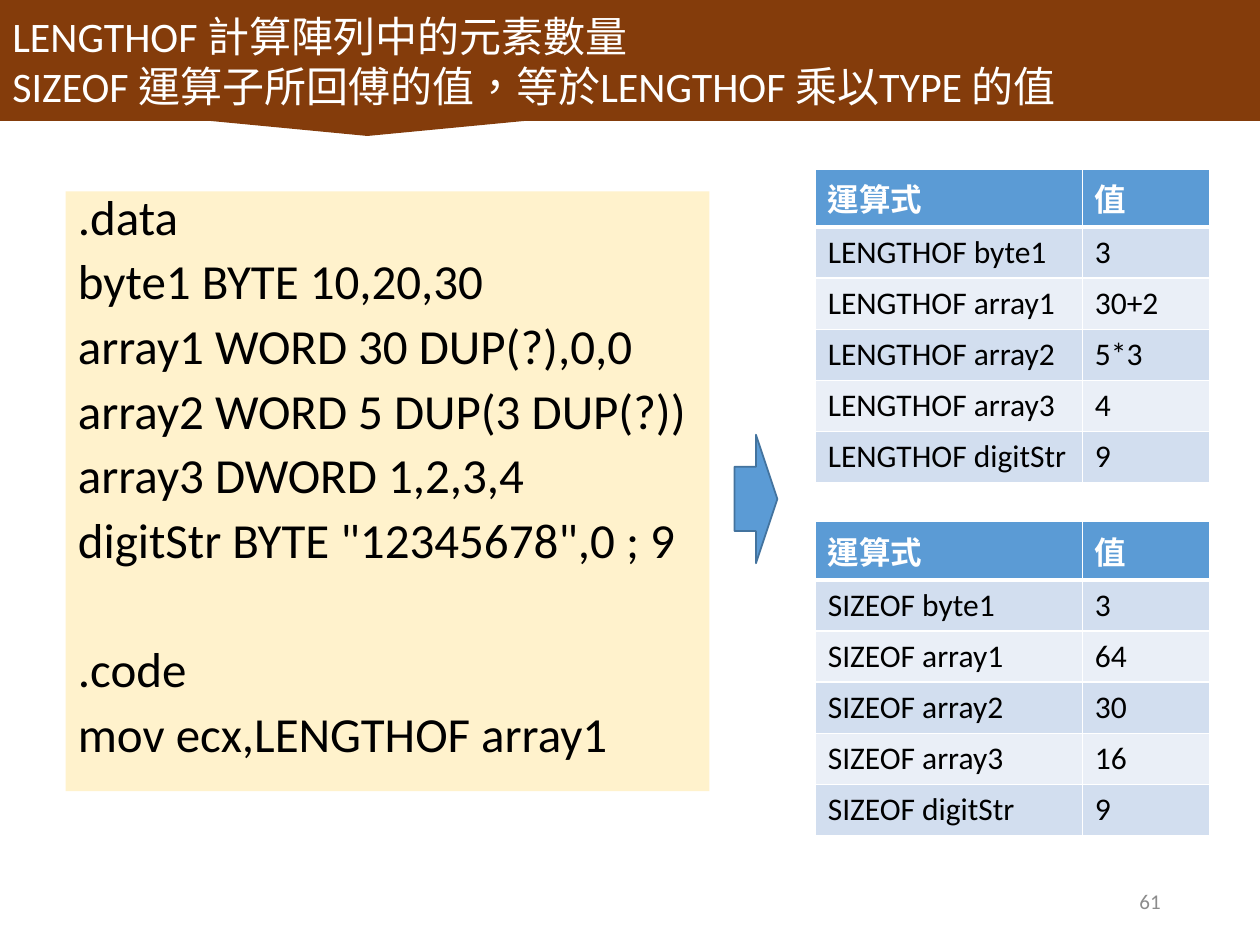
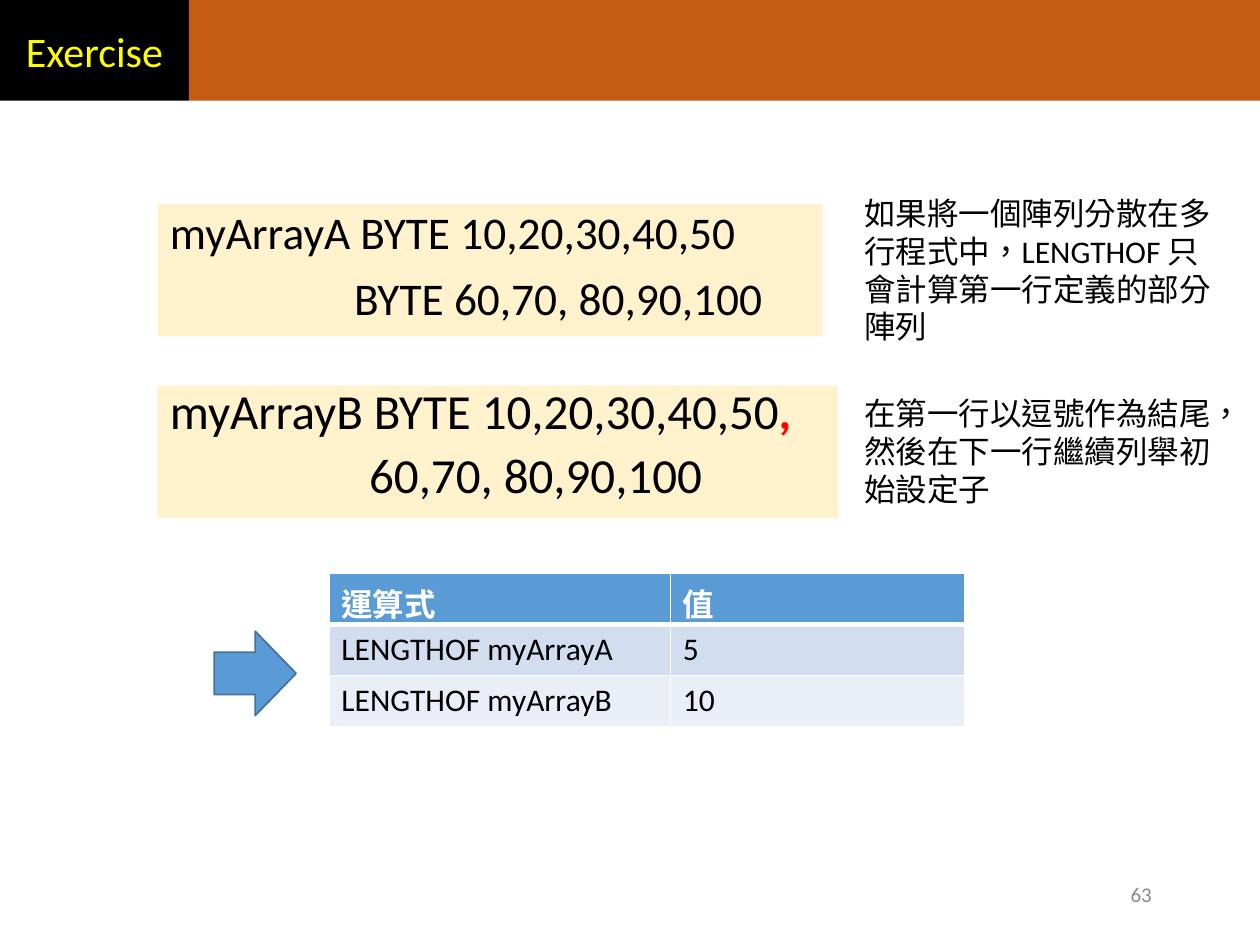
import pptx
import pptx.util
import pptx.dml.color
import pptx.enum.lang
import pptx.enum.shapes
import pptx.enum.text
import pptx.oxml
import pptx.oxml.ns

RGBColor = pptx.dml.color.RGBColor
Pt = pptx.util.Pt
Shape = pptx.enum.shapes.MSO_SHAPE
Align = pptx.enum.text.PP_ALIGN
Anchor = pptx.enum.text.MSO_ANCHOR
LANG = pptx.enum.lang.MSO_LANGUAGE_ID.TRADITIONAL_CHINESE

WHITE = RGBColor(0xFF, 0xFF, 0xFF)
BLACK = RGBColor(0x00, 0x00, 0x00)
BROWN = RGBColor(0x84, 0x3C, 0x0B)
RUST = RGBColor(0xC5, 0x5A, 0x11)
CREAM = RGBColor(0xFF, 0xF2, 0xCC)
BLUE = RGBColor(0x5B, 0x9B, 0xD5)
NAVY = RGBColor(0x43, 0x73, 0x9E)
MIST = RGBColor(0xD2, 0xDE, 0xEF)
PALE = RGBColor(0xEA, 0xEF, 0xF7)
GREY = RGBColor(0x8C, 0x8C, 0x8C)
YELLOW = RGBColor(0xFF, 0xFF, 0x00)
RED = RGBColor(0xFF, 0x00, 0x00)

FONT = "Calibri"
COLS, ROWS = 100, 75
ROW = 4.06
HEAD = ["運算式", "值"]


def write(frame, lines, size=18, color=BLACK, bold=False, align=Align.LEFT,
          anchor=Anchor.TOP, lead=None, gap=0, gaps=None):
    frame.word_wrap = True
    frame.vertical_anchor = anchor
    for i, line in enumerate(lines):
        para = frame.paragraphs[0] if i == 0 else frame.add_paragraph()
        para.alignment = align
        if lead:
            para.line_spacing = lead
        if i:
            para.space_before = Pt((gaps or {}).get(i, gap))
        runs = [(line, color, bold)] if isinstance(line, str) else line
        for text, tint, heavy in runs:
            run = para.add_run()
            run.text = text
            font = run.font
            font.name, font.size, font.bold = FONT, Pt(size), heavy
            font.color.rgb = tint
            font.language_id = LANG


def edge(cell, widths):
    props = cell._tc.get_or_add_tcPr()
    for i, (side, width) in enumerate(zip("LRTB", widths)):
        props.insert(i, pptx.oxml.parse_xml(
            f'<a:ln{side} {pptx.oxml.ns.nsdecls("a")} w="{Pt(width)}">'
            f'<a:solidFill><a:srgbClr val="{WHITE}"/></a:solidFill></a:ln{side}>'))


class Deck:
    def __init__(self):
        self.show = pptx.Presentation()
        self.show.slide_width = pptx.util.Inches(10)
        self.show.slide_height = pptx.util.Inches(7.5)
        self.slide = None

    def start(self):
        self.slide = self.show.slides.add_slide(self.show.slide_layouts[6])

    def wide(self, cols):
        return round(self.show.slide_width * cols / COLS)

    def high(self, rows):
        return round(self.show.slide_height * rows / ROWS)

    def place(self, x, y, w, h):
        return self.wide(x), self.high(y), self.wide(w), self.high(h)

    def block(self, area, fill, kind=Shape.RECTANGLE, line=None):
        shape = self.slide.shapes.add_shape(kind, *self.place(*area))
        shape.shadow.inherit = False
        shape.fill.solid()
        shape.fill.fore_color.rgb = fill
        if line is None:
            shape.line.fill.background()
        else:
            shape.line.color.rgb = line
            shape.line.width = Pt(1)
        return shape.text_frame

    def band(self, area, fill, lines=(), kind=Shape.RECTANGLE, **style):
        write(self.block(area, fill, kind), lines, size=24,
              anchor=Anchor.MIDDLE, **style)

    def code(self, area, lines, size=28, lead=0.8, **style):
        write(self.block(area, CREAM), lines, size=size, lead=lead, gap=10, **style)

    def arrow(self, area):
        self.block(area, BLUE, Shape.RIGHT_ARROW, NAVY)

    def note(self, area, text, **style):
        box = self.slide.shapes.add_textbox(*self.place(*area))
        write(box.text_frame, [text], **style)

    def page(self, x, y, text):
        self.note((x, y, 22.5, 4), text, size=12, color=GREY,
                  align=Align.RIGHT, anchor=Anchor.MIDDLE)

    def table(self, x, y, widths, rows):
        rows = [HEAD] + rows
        area = self.place(x, y, sum(widths), ROW * len(rows))
        table = self.slide.shapes.add_table(len(rows), len(widths), *area).table
        for col, width in zip(table.columns, widths):
            col.width = self.wide(width)
        for r, row in enumerate(rows):
            table.rows[r].height = self.high(ROW)
            fill = BLUE if r == 0 else (PALE, MIST)[r % 2]
            for c, text in enumerate(row):
                cell = table.cell(r, c)
                cell.fill.solid()
                cell.fill.fore_color.rgb = fill
                edge(cell, (1, 1, 3 if r == 1 else 1, 3 if r == 0 else 1))
                write(cell.text_frame, [text], bold=r == 0,
                      color=BLACK if r else WHITE)


def sizes(deck):
    deck.start()
    deck.code((5.2, 15.2, 51.1, 47.6), [
        ".data",
        "byte1 BYTE 10,20,30",
        "array1 WORD 30 DUP(?),0,0",
        "array2 WORD 5 DUP(3 DUP(?))",
        "array3 DWORD 1,2,3,4",
        'digitStr BYTE "12345678",0 ; 9',
        ".code",
        "mov ecx,LENGTHOF array1",
    ], gaps={6: 47})
    deck.arrow((58.3, 34.5, 3.4, 10.2))
    names = ["byte1", "array1", "array2", "array3", "digitStr"]
    counts = {"LENGTHOF": ["3", "30+2", "5*3", "4", "9"],
              "SIZEOF": ["3", "64", "30", "16", "9"]}
    for i, (word, vals) in enumerate(counts.items()):
        rows = [[f"{word} {name}", val] for name, val in zip(names, vals)]
        deck.table(64.7, 13.4 + 28 * i, (21.2, 10.1), rows)
    deck.page(70.6, 69.5, "61")
    deck.band((0, 0, 100, 9.6), BROWN, [
        "LENGTHOF 計算陣列中的元素數量",
        "SIZEOF 運算子所回傅的值，等於LENGTHOF 乘以TYPE 的值",
    ], Shape.RECTANGULAR_CALLOUT, color=WHITE)


def drill(deck):
    deck.start()
    deck.code((12.5, 16.2, 52.8, 10.5), [
        "myArrayA BYTE 10,20,30,40,50",
        "                  BYTE 60,70, 80,90,100",
    ], size=25.9, lead=0.9)
    deck.code((12.5, 30.6, 54, 10.5), [
        [("myArrayB BYTE 10,20,30,40,50", BLACK, False), (",", RED, True)],
        "                  60,70, 80,90,100",
    ])
    deck.table(26.1, 45.5, (27.1, 23.4),
               [["LENGTHOF myArrayA", "5"], ["LENGTHOF myArrayB", "10"]])
    deck.page(69.9, 69, "63")
    deck.band((0, 0, 15, 8), BLACK, ["Exercise"], color=YELLOW, align=Align.CENTER)
    deck.band((15, 0, 85, 8), RUST)
    deck.arrow((17, 50.1, 6.5, 6.7))
    deck.note((67.6, 14.9, 29.5, 13.1),
              "如果將一個陣列分散在多行程式中，LENGTHOF 只會計算第一行定義的部分陣列")
    deck.note((67.6, 30.8, 31.8, 10.1),
              "在第一行以逗號作為結尾，然後在下一行繼續列舉初始設定子")


def main():
    deck = Deck()
    sizes(deck)
    drill(deck)
    deck.show.save("out.pptx")


if __name__ == "__main__":
    main()
